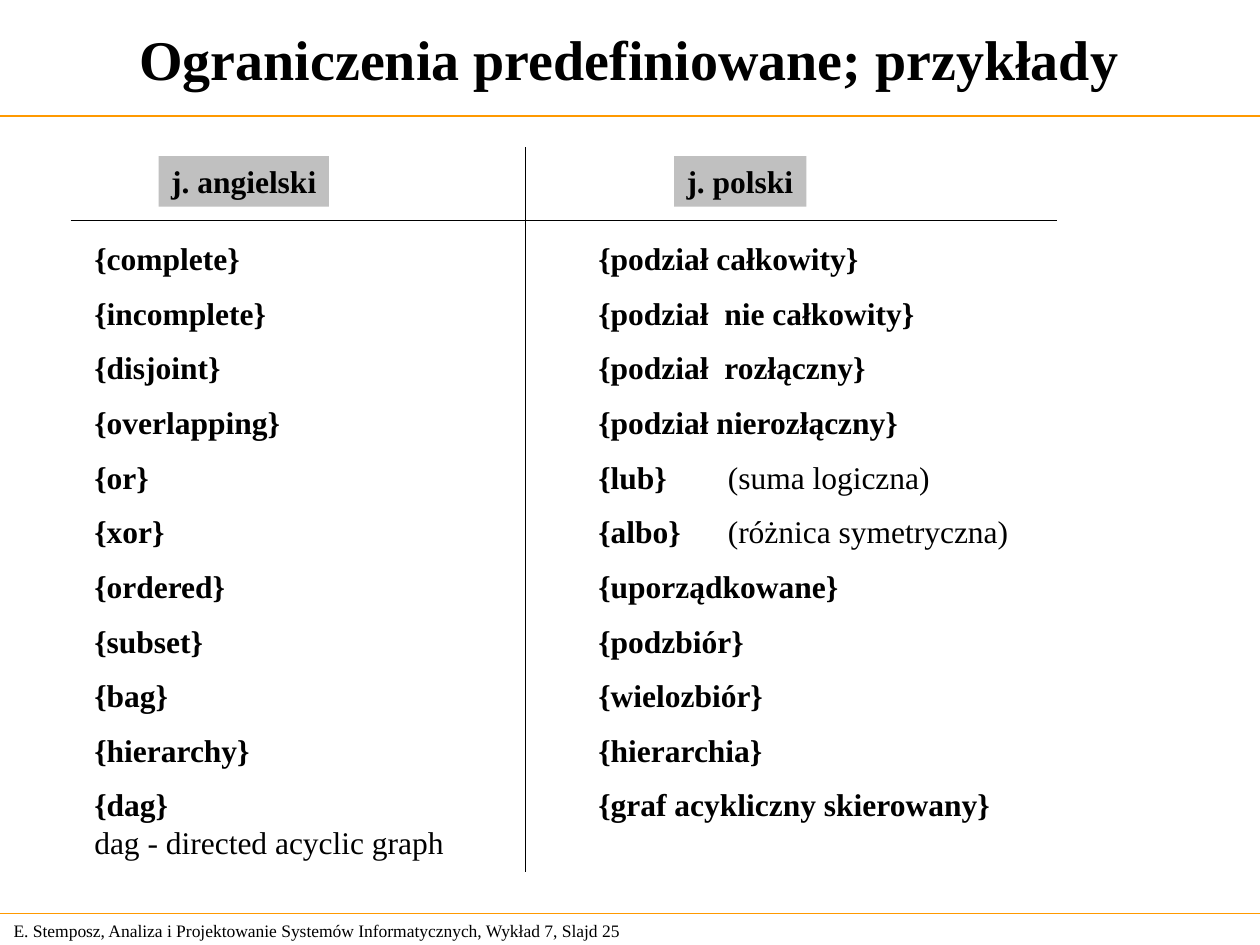
import pptx
import pptx.util
import pptx.dml.color
import pptx.enum.shapes
import pptx.enum.text
import pptx.oxml.ns
import lxml.etree

Pt = pptx.util.Pt
FONT = "Times New Roman"
COLORS = {"text": "000000", "rule": "FF9900", "label": "C0C0C0"}

TITLE = "Ograniczenia predefiniowane; przykłady"
FOOTER = "E. Stemposz, Analiza i Projektowanie Systemów Informatycznych, Wykład 7, Slajd 25"
HEADERS = [("j. angielski", 90.72, 97.2), ("j. polski", 385.2, 75.6)]
TERMS = [
    ("{complete}", "{podział całkowity}", ""),
    ("{incomplete}", "{podział  nie całkowity}", ""),
    ("{disjoint}", "{podział  rozłączny}", ""),
    ("{overlapping}", "{podział nierozłączny}", ""),
    ("{or}", "{lub}", "(suma logiczna)"),
    ("{xor}", "{albo}", "(różnica symetryczna)"),
    ("{ordered}", "{uporządkowane}", ""),
    ("{subset}", "{podzbiór}", ""),
    ("{bag}", "{wielozbiór}", ""),
    ("{hierarchy}", "{hierarchia}", ""),
    ("{dag}", "{graf acykliczny skierowany}", ""),
]
EXPLANATION = "dag - directed acyclic graph"
TERM_TABS = (288, 362)
TERM_GAP = 9.6
LINE_RATIO = 1.2
RULES = [
    (0, 66.24, 720, 66.24, "rule"),
    (0, 522, 720, 522, "rule"),
    (300.24, 84.24, 300.24, 498.24, "text"),
    (40.32, 126, 604.08, 126, "text"),
]


def color(name):
    return pptx.dml.color.RGBColor.from_string(COLORS[name])


def style(paragraph, size, bold=None):
    font = paragraph.font
    font.name, font.size, font.bold = FONT, Pt(size), bold
    font.color.rgb = color("text")
    paragraph.line_spacing = Pt(size * LINE_RATIO)


def add_text_box(slide, left, top, width, height, middle=True):
    frame = slide.shapes.add_textbox(Pt(left), Pt(top), Pt(width), Pt(height)).text_frame
    frame.word_wrap = True
    anchor = pptx.enum.text.MSO_ANCHOR
    frame.vertical_anchor = anchor.MIDDLE if middle else anchor.TOP
    return frame


def add_rule(slide, left, top, right, bottom, color_name):
    connector = slide.shapes.add_connector(
        pptx.enum.shapes.MSO_CONNECTOR.STRAIGHT, Pt(left), Pt(top), Pt(right), Pt(bottom))
    connector.line.color.rgb = color(color_name)
    connector.line.width = Pt(0.75)
    lxml.etree.SubElement(connector._element.spPr, pptx.oxml.ns.qn("a:effectLst"))


def add_header(slide, text, left, width):
    shape = slide.shapes.add_shape(
        pptx.enum.shapes.MSO_SHAPE.RECTANGLE, Pt(left), Pt(89.28), Pt(width), Pt(28.8))
    shape.shadow.inherit = False
    shape.fill.solid()
    shape.fill.fore_color.rgb = color("label")
    shape.line.fill.background()
    frame = shape.text_frame
    frame.word_wrap = False
    frame.vertical_anchor = pptx.enum.text.MSO_ANCHOR.TOP
    paragraph = frame.paragraphs[0]
    paragraph.text = text
    paragraph.alignment = pptx.enum.text.PP_ALIGN.LEFT
    style(paragraph, 18, True)


def add_tabs(paragraph):
    properties = paragraph._p.get_or_add_pPr()
    tabs = lxml.etree.SubElement(properties, pptx.oxml.ns.qn("a:tabLst"))
    for position in TERM_TABS:
        lxml.etree.SubElement(
            tabs, pptx.oxml.ns.qn("a:tab"), pos=str(int(Pt(position))), algn="l")


def add_terms(slide):
    frame = add_text_box(slide, 46.8, 133.2, 624.96, 362.16, middle=False)
    for index, (english, polish, note) in enumerate(TERMS):
        paragraph = frame.add_paragraph() if index else frame.paragraphs[0]
        add_tabs(paragraph)
        style(paragraph, 18)
        if index:
            paragraph.space_before = Pt(TERM_GAP)
        term = paragraph.add_run()
        term.text = f"{english}\t{polish}"
        term.font.bold = True
        if note:
            paragraph.add_run().text = f"\t{note}"
    paragraph = frame.add_paragraph()
    paragraph.text = EXPLANATION
    style(paragraph, 18)


def main():
    presentation = pptx.Presentation()
    presentation.slide_width, presentation.slide_height = Pt(720), Pt(540)
    slide = presentation.slides.add_slide(presentation.slide_layouts[6])

    footer = add_text_box(slide, 0.72, 522, 377.28, 19.44).paragraphs[0]
    footer.text = FOOTER
    style(footer, 10)

    title = add_text_box(slide, 0, 0, 719.28, 66.24).paragraphs[0]
    title.text = TITLE
    title.alignment = pptx.enum.text.PP_ALIGN.CENTER
    style(title, 32, True)

    add_terms(slide)
    for rule in RULES:
        add_rule(slide, *rule)
    for header in HEADERS:
        add_header(slide, *header)
    presentation.save("out.pptx")


if __name__ == "__main__":
    main()
